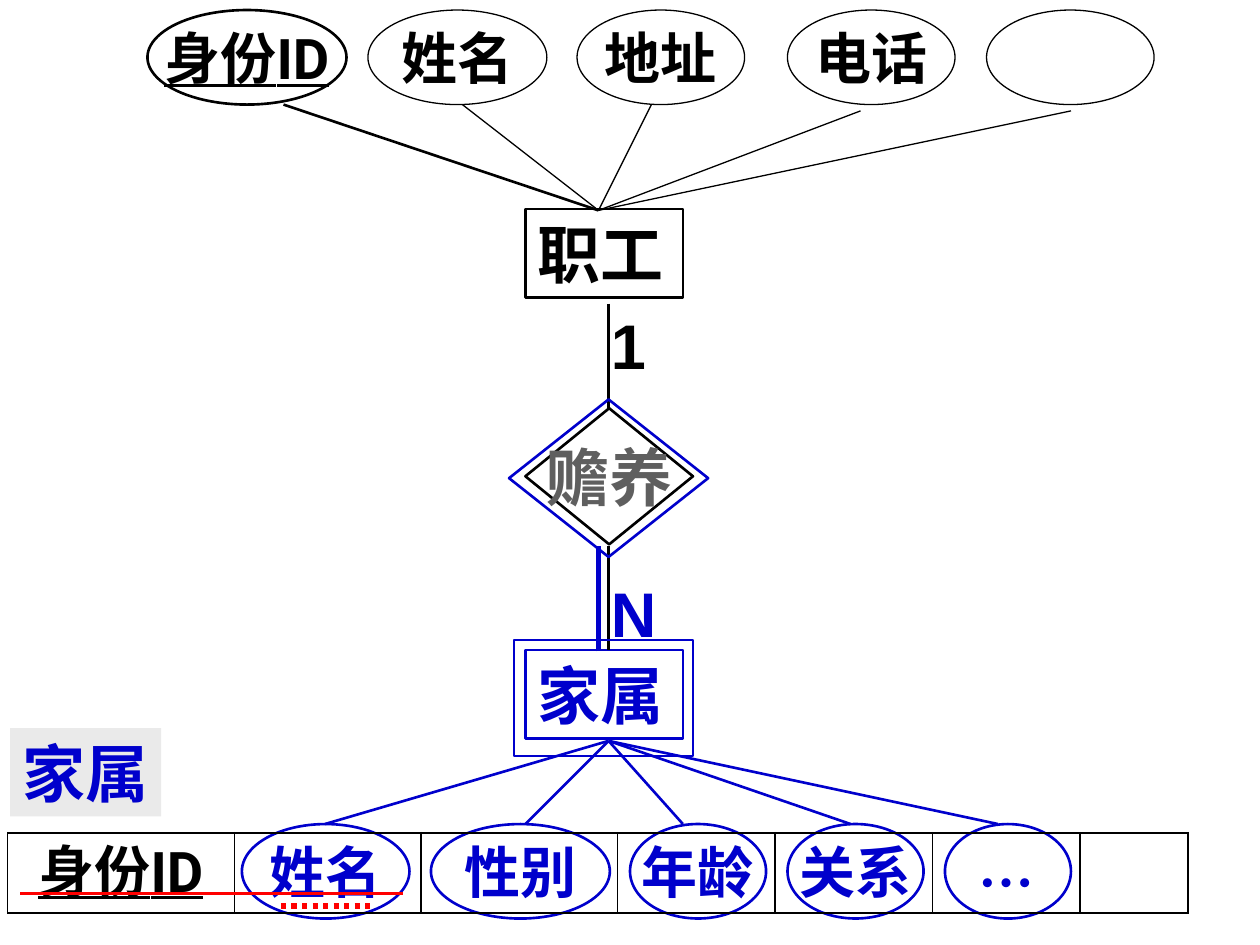
from lxml.etree import SubElement
from pptx import Presentation
from pptx.dml.color import RGBColor
from pptx.enum.dml import MSO_LINE
from pptx.enum.shapes import MSO_CONNECTOR, MSO_SHAPE
from pptx.enum.text import MSO_ANCHOR, MSO_AUTO_SIZE, PP_ALIGN
from pptx.oxml.ns import qn
from pptx.util import Inches, Pt

BLACK = RGBColor(0x00, 0x00, 0x00)
BLUE = RGBColor(0x00, 0x00, 0xCC)
GREY = RGBColor(0x5F, 0x5F, 0x5F)
PALE = RGBColor(0xEA, 0xEA, 0xEA)
RED = RGBColor(0xFF, 0x00, 0x00)
LATIN, CHINESE, HEADING = "Arial", "Noto Sans CJK SC", "Roboto"


class DiagramSlide:
    """Draws the entities, attributes and links of one slide in a shared style."""

    def __init__(self, slide):
        self.shapes = slide.shapes

    def set_text(self, frame, text, color, font=HEADING, size=36, before=9,
                 align=PP_ALIGN.CENTER, underline=None):
        para = frame.paragraphs[0]
        for name, value in {"alignment": align, "space_before": Pt(before)}.items():
            setattr(para, name, value)
        span = para.add_run()
        span.text = text
        style = {"name": font, "size": Pt(size), "bold": True, "underline": underline}
        for name, value in style.items():
            setattr(span.font, name, value)
        span.font.color.rgb = color
        SubElement(span.font._element, qn("a:ea"), typeface=font)

    def outline(self, kind, place, color=None, width=1.5, fill=None):
        shape = self.shapes.add_shape(kind, *map(Inches, place))
        shape.shadow.inherit = False
        if fill is None:
            shape.fill.background()
        else:
            shape.fill.solid()
            shape.fill.fore_color.rgb = fill
        if color is None:
            shape.line.fill.background()
        else:
            shape.line.color.rgb = color
            shape.line.width = Pt(width)
        return shape

    def entity(self, text, place, color):
        frame = self.outline(MSO_SHAPE.RECTANGLE, place, color).text_frame
        frame.word_wrap = True
        frame.auto_size = MSO_AUTO_SIZE.SHAPE_TO_FIT_TEXT
        frame.vertical_anchor = MSO_ANCHOR.TOP
        self.set_text(frame, text, color, before=22.5, align=PP_ALIGN.LEFT)

    def attribute(self, text, place, color, width=1.5, **style):
        shape = self.outline(MSO_SHAPE.OVAL, place, color, width)
        if text:
            frame = shape.text_frame
            frame.word_wrap = False
            frame.vertical_anchor = MSO_ANCHOR.MIDDLE
            self.set_text(frame, text, color, size=32, before=8, **style)

    def relationship(self, text, place):
        frame = self.outline(MSO_SHAPE.DIAMOND, place, BLACK).text_frame
        frame.word_wrap = False
        frame.vertical_anchor = MSO_ANCHOR.MIDDLE
        self.set_text(frame, text, GREY)

    def label(self, text, place):
        frame = self.outline(MSO_SHAPE.RECTANGLE, place, fill=PALE).text_frame
        frame.word_wrap = False
        frame.auto_size = MSO_AUTO_SIZE.SHAPE_TO_FIT_TEXT
        frame.vertical_anchor = MSO_ANCHOR.TOP
        self.set_text(frame, text, BLUE)

    def cardinality(self, text, place, color):
        frame = self.shapes.add_textbox(*map(Inches, place)).text_frame
        frame.word_wrap = True
        frame.auto_size = MSO_AUTO_SIZE.SHAPE_TO_FIT_TEXT
        self.set_text(frame, text, color, LATIN, before=22.5, align=PP_ALIGN.LEFT)

    def link(self, start, end, color, width=1.5, dash=None):
        line = self.shapes.add_connector(
            MSO_CONNECTOR.STRAIGHT, *map(Inches, (*start, *end)))
        line.line.color.rgb = color
        line.line.width = Pt(width)
        if dash is not None:
            line.line.dash_style = dash
        SubElement(line._element.spPr, qn("a:effectLst"))

    def border(self, cell, side, width):
        edge = SubElement(cell._tc.get_or_add_tcPr(), qn(f"a:ln{side}"), w=str(Pt(width)))
        fill = SubElement(edge, qn("a:solidFill"))
        SubElement(fill, qn("a:srgbClr"), val=str(BLACK))

    def relation_row(self, place, widths, texts):
        table = self.shapes.add_table(1, len(widths), *map(Inches, place)).table
        table.first_row = table.horz_banding = False
        table.rows[0].height = Inches(place[3])
        for index, width in enumerate(widths):
            table.columns[index].width = Inches(width)
            cell = table.cell(0, index)
            cell.vertical_anchor = MSO_ANCHOR.MIDDLE
            for side in "LRTB":
                self.border(cell, side, 0.45 if side == "L" and index == 0 else 1.08)
            cell.fill.background()
            if index in texts:
                text, style = texts[index]
                self.set_text(cell.text_frame, text, size=32, before=8, **style)


def main():
    deck = Presentation()
    deck.slide_width, deck.slide_height = Inches(10), Inches(7.5)
    page = DiagramSlide(deck.slides.add_slide(deck.slide_layouts[6]))

    page.entity("职工", (4.17, 1.66, 1.25, 0.7), BLACK)
    staff_attributes = [
        ("身份ID", 1.17, 1.58, (2.25, 0.83), 1.5, True),
        ("姓名", 2.92, 1.42, (3.67, 0.83), 0.75, None),
        ("地址", 4.58, 1.33, (5.17, 0.83), 0.75, None),
        ("电话", 6.25, 1.33, (6.83, 0.88), 0.75, None),
        ("", 7.83, 1.33, (8.5, 0.88), 0.75, None),
    ]
    for text, left, width, end, weight, underline in staff_attributes:
        page.link((4.75, 1.67), end, BLACK, weight)
        page.attribute(text, (left, 0.08, width, 0.75), BLACK, weight, underline=underline)

    page.entity("家属", (4.17, 5.16, 1.25, 0.7), BLUE)
    family_attributes = [
        ("姓名", 1.92, 1.33, 2.58),
        ("性别", 3.42, 1.42, 4.17),
        ("年龄", 5, 1.08, 5.42),
        ("关系", 6.25, 1.08, 6.75),
        ("", 7.5, 1, 7.92),
    ]
    for text, left, width, end in family_attributes:
        page.link((4.83, 5.88), (end, 6.54), BLUE)
        page.attribute(text, (left, 6.54, width, 0.75), BLUE, font=CHINESE)

    page.link((4.83, 2.41), (4.83, 3.24), BLACK)
    page.relationship("赡养", (4.17, 3.24, 1.33, 1.08))
    page.link((4.83, 4.33), (4.83, 5.16), BLACK)
    page.cardinality("N", (4.75, 4.51, 0.67, 0.7), BLUE)
    page.cardinality("1", (4.75, 2.38, 0.67, 0.7), BLACK)
    page.outline(MSO_SHAPE.RECTANGLE, (4.08, 5.08, 1.42, 0.92), BLUE)
    page.outline(MSO_SHAPE.DIAMOND, (4.04, 3.17, 1.58, 1.25), BLUE)
    page.link((4.75, 5.17), (4.75, 4.33), BLUE, 3)

    page.link((2.23, 7.19), (2.98, 7.19), RED, 3, MSO_LINE.ROUND_DOT)
    page.label("家属", (0.08, 5.78, 1.2, 0.7))
    page.relation_row(
        (0.06, 6.61, 9.37, 0.63),
        (1.8, 1.48, 1.56, 1.25, 1.25, 1.17, 0.86),
        {0: ("身份ID", {"color": BLACK, "underline": True}),
         5: ("…", {"color": BLUE, "font": CHINESE})},
    )
    page.link((0.16, 7.09), (3.2, 7.09), RED)
    deck.save("out.pptx")


if __name__ == "__main__":
    main()
